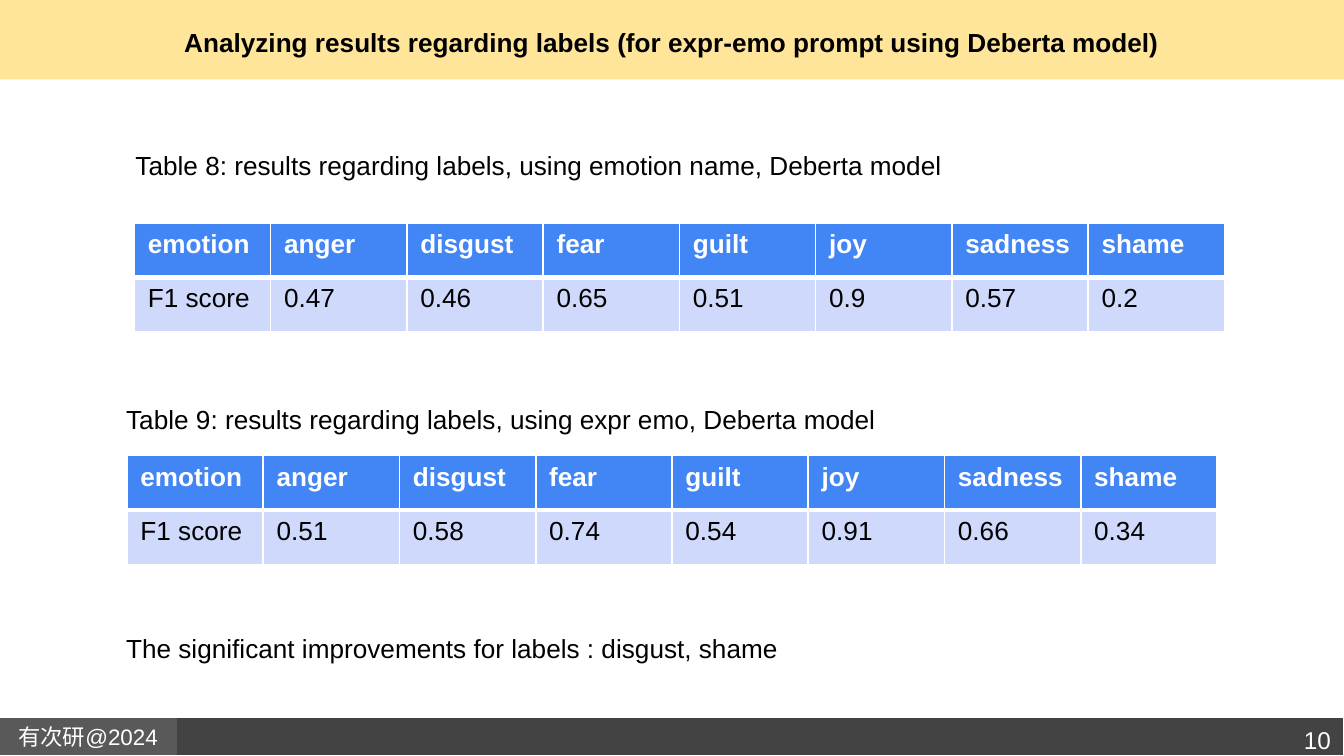
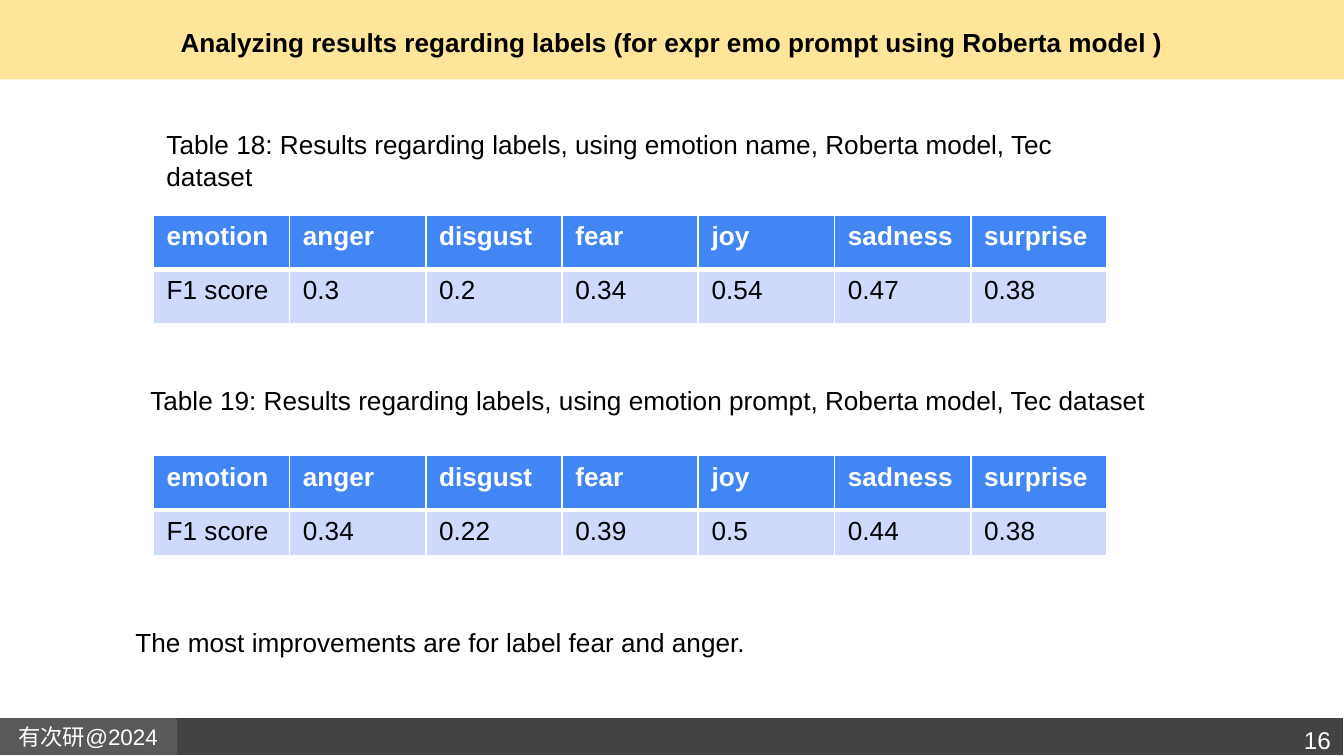
"""Builds two slides that compare F1 scores per emotion label."""
from dataclasses import dataclass
from typing import NamedTuple, Optional

from lxml.etree import SubElement
from pptx import Presentation
from pptx.dml.color import RGBColor as Rgb
from pptx.enum.shapes import MSO_SHAPE as Preset
from pptx.enum.text import MSO_ANCHOR as Anchor
from pptx.enum.text import MSO_AUTO_SIZE as AutoSize
from pptx.enum.text import PP_ALIGN as Align
from pptx.oxml.ns import qn
from pptx.slide import Slide
from pptx.util import Inches, Pt


@dataclass(frozen=True)
class Theme:
    """Colours, font, type sizes and line widths of the deck."""
    font: str = "Arial"
    title_band: str = "FFE599"
    footer_band: str = "434343"
    credit_tab: str = "595959"
    header_fill: str = "4285F4"
    score_fill: str = "CFD9FB"
    ink: str = "000000"
    paper: str = "FFFFFF"
    body_size: int = 14
    number_size: int = 13
    credit_size: int = 12
    outline: float = 0.75
    rule: int = 1
    header_rule: int = 3


THEME = Theme()
WIDTH = Inches(10)
HEIGHT = int(WIDTH * 9 / 16)
GRID_COLUMNS = 100
GRID_ROWS = 56.25
LABEL_COLUMN = 10.14
LABEL_ROW = 4.05


class Area(NamedTuple):
    """A place on the slide in grid columns and rows."""
    left: float
    top: float
    width: float
    height: float

    def emu(self) -> tuple[int, ...]:
        """Returns left, top, width and height in slide units."""
        column, row = WIDTH / GRID_COLUMNS, HEIGHT / GRID_ROWS
        return tuple(round(cells * unit) for cells, unit in zip(self, (column, row) * 2))


class Band(NamedTuple):
    """A filled bar shared by the slides."""
    area: Area
    fill: str
    line: Optional[str] = None
    text: str = ""


class Note(NamedTuple):
    """A line of running text."""
    text: str
    area: Area
    wrap: bool = False


class Scores(NamedTuple):
    """The F1 scores of one prompt, with the caption above them."""
    caption: Note
    left: float
    top: float
    values: tuple[str, ...]
    score_row: float = LABEL_ROW


class Page(NamedTuple):
    """The content of one slide."""
    number: int
    title: str
    labels: tuple[str, ...]
    scores: tuple[Scores, ...]
    finding: Note


BANDS = (
    Band(Area(0, 0, 100, 5.9), THEME.title_band),
    Band(Area(0, 53.4, 100, 2.8), THEME.footer_band, THEME.paper),
    Band(Area(0, 53.5, 13.1, 2.6), THEME.credit_tab, THEME.credit_tab, "有次研@2024"),
)
TITLE_AREA = Area(3.4, 0, 93.2, 6.3)
NUMBER_AREA = Area(89.5, 53, 10.5, 3.7)

PAGES = (
    Page(
        10,
        "Analyzing results regarding labels (for expr-emo prompt using Deberta model)",
        ("anger", "disgust", "fear", "guilt", "joy", "sadness", "shame"),
        (
            Scores(
                Note("Table 8: results regarding labels, using emotion name, Deberta model",
                     Area(9.1, 10.6, 69.4, 5.7), wrap=True),
                10, 16.6, ("0.47", "0.46", "0.65", "0.51", "0.9", "0.57", "0.2")),
            Scores(
                Note("Table 9: results regarding labels, using expr emo, Deberta model",
                     Area(8.4, 29.5, 57.8, 3.4)),
                9.45, 33.9, ("0.51", "0.58", "0.74", "0.54", "0.91", "0.66", "0.34")),
        ),
        Note("The significant improvements for labels : disgust, shame",
             Area(8.4, 46.6, 51.4, 3.4)),
    ),
    Page(
        16,
        "Analyzing results regarding labels (for expr emo prompt using Roberta model )",
        ("anger", "disgust", "fear", "joy", "sadness", "surprise"),
        (
            Scores(
                Note("Table 18: Results regarding labels, using emotion name, "
                     "Roberta model, Tec dataset",
                     Area(11.4, 9.1, 73.9, 10.4), wrap=True),
                11.4, 16, ("0.3", "0.2", "0.34", "0.54", "0.47", "0.38")),
            Scores(
                Note("Table 19: Results regarding labels, using emotion prompt, "
                     "Roberta model, Tec dataset",
                     Area(10.2, 28.1, 76.3, 5.7)),
                11.4, 33.9, ("0.34", "0.22", "0.39", "0.5", "0.44", "0.38"), 3.4),
        ),
        Note("The most improvements are for label fear and anger.",
             Area(9.1, 46.1, 47.7, 3.4)),
    ),
)


def write(frame, text: str, *, size: float = THEME.body_size, color: str = THEME.ink,
          bold: bool = False, align: Align = Align.LEFT) -> None:
    """Puts one formatted paragraph into a text frame."""
    paragraph = frame.paragraphs[0]
    paragraph.alignment = align
    run = paragraph.add_run()
    run.text = text
    run.font.name = THEME.font
    run.font.size = Pt(size)
    run.font.bold = bold
    run.font.color.rgb = Rgb.from_string(color)


def inset(frame, anchor: Anchor) -> None:
    """Gives a frame equal margins and a vertical anchor."""
    frame.margin_left = frame.margin_right = Inches(0.1)
    frame.margin_top = frame.margin_bottom = Inches(0.1)
    frame.vertical_anchor = anchor
    frame.word_wrap = True


def draw_band(slide: Slide, band: Band) -> None:
    """Draws a bar and the text it carries."""
    bar = slide.shapes.add_shape(Preset.RECTANGLE, *band.area.emu())
    bar.shadow.inherit = False
    bar.fill.solid()
    bar.fill.fore_color.rgb = Rgb.from_string(band.fill)
    if band.line:
        bar.line.color.rgb = Rgb.from_string(band.line)
        bar.line.width = Pt(THEME.outline)
    else:
        bar.line.fill.background()
    if band.text:
        inset(bar.text_frame, Anchor.MIDDLE)
        write(bar.text_frame, band.text, size=THEME.credit_size,
              color=THEME.paper, align=Align.CENTER)


def draw_frame(slide: Slide, title: str, number: int) -> None:
    """Draws the bands, the title and the slide number."""
    for band in BANDS:
        draw_band(slide, band)
    heading = slide.shapes.add_textbox(*TITLE_AREA.emu()).text_frame
    inset(heading, Anchor.MIDDLE)
    write(heading, title, bold=True, align=Align.CENTER)
    counter = slide.shapes.add_textbox(*NUMBER_AREA.emu()).text_frame
    inset(counter, Anchor.TOP)
    write(counter, str(number), size=THEME.number_size,
          color=THEME.paper, align=Align.RIGHT)


def draw_note(slide: Slide, note: Note) -> None:
    """Draws a caption or a finding."""
    frame = slide.shapes.add_textbox(*note.area.emu()).text_frame
    frame.word_wrap = note.wrap
    frame.auto_size = AutoSize.SHAPE_TO_FIT_TEXT
    write(frame, note.text)


def rule_cell(cell, top: float, bottom: float) -> None:
    """Draws the four borders of a table cell."""
    properties = cell._tc.get_or_add_tcPr()
    sides = {"a:lnL": THEME.rule, "a:lnR": THEME.rule, "a:lnT": top, "a:lnB": bottom}
    for side, width in sides.items():
        border = SubElement(properties, qn(side), w=str(Pt(width)))
        fill = SubElement(border, qn("a:solidFill"))
        SubElement(fill, qn("a:srgbClr"), val=THEME.paper)


def draw_scores(slide: Slide, labels: tuple[str, ...], scores: Scores) -> None:
    """Draws a caption and the table of labels and scores below it."""
    draw_note(slide, scores.caption)
    lines = (("emotion", *labels), ("F1 score", *scores.values))
    area = Area(scores.left, scores.top, LABEL_COLUMN * len(lines[0]),
                LABEL_ROW + scores.score_row)
    table = slide.shapes.add_table(len(lines), len(lines[0]), *area.emu()).table
    table.horz_banding = False
    for row, height in zip(table.rows, (LABEL_ROW, scores.score_row)):
        row.height = round(height * HEIGHT / GRID_ROWS)
    for row_index, line in enumerate(lines):
        is_header = row_index == 0
        for column_index, text in enumerate(line):
            cell = table.cell(row_index, column_index)
            if is_header:
                rule_cell(cell, THEME.rule, THEME.header_rule)
            else:
                rule_cell(cell, THEME.header_rule, THEME.rule)
            cell.fill.solid()
            cell.fill.fore_color.rgb = Rgb.from_string(
                THEME.header_fill if is_header else THEME.score_fill)
            write(cell.text_frame, text, bold=is_header,
                  color=THEME.paper if is_header else THEME.ink)


def main() -> None:
    """Builds and saves the deck."""
    deck = Presentation()
    deck.slide_width, deck.slide_height = WIDTH, HEIGHT
    for page in PAGES:
        slide = deck.slides.add_slide(deck.slide_layouts[6])
        draw_frame(slide, page.title, page.number)
        for scores in page.scores:
            draw_scores(slide, page.labels, scores)
        draw_note(slide, page.finding)
    deck.save("out.pptx")


if __name__ == "__main__":
    main()
